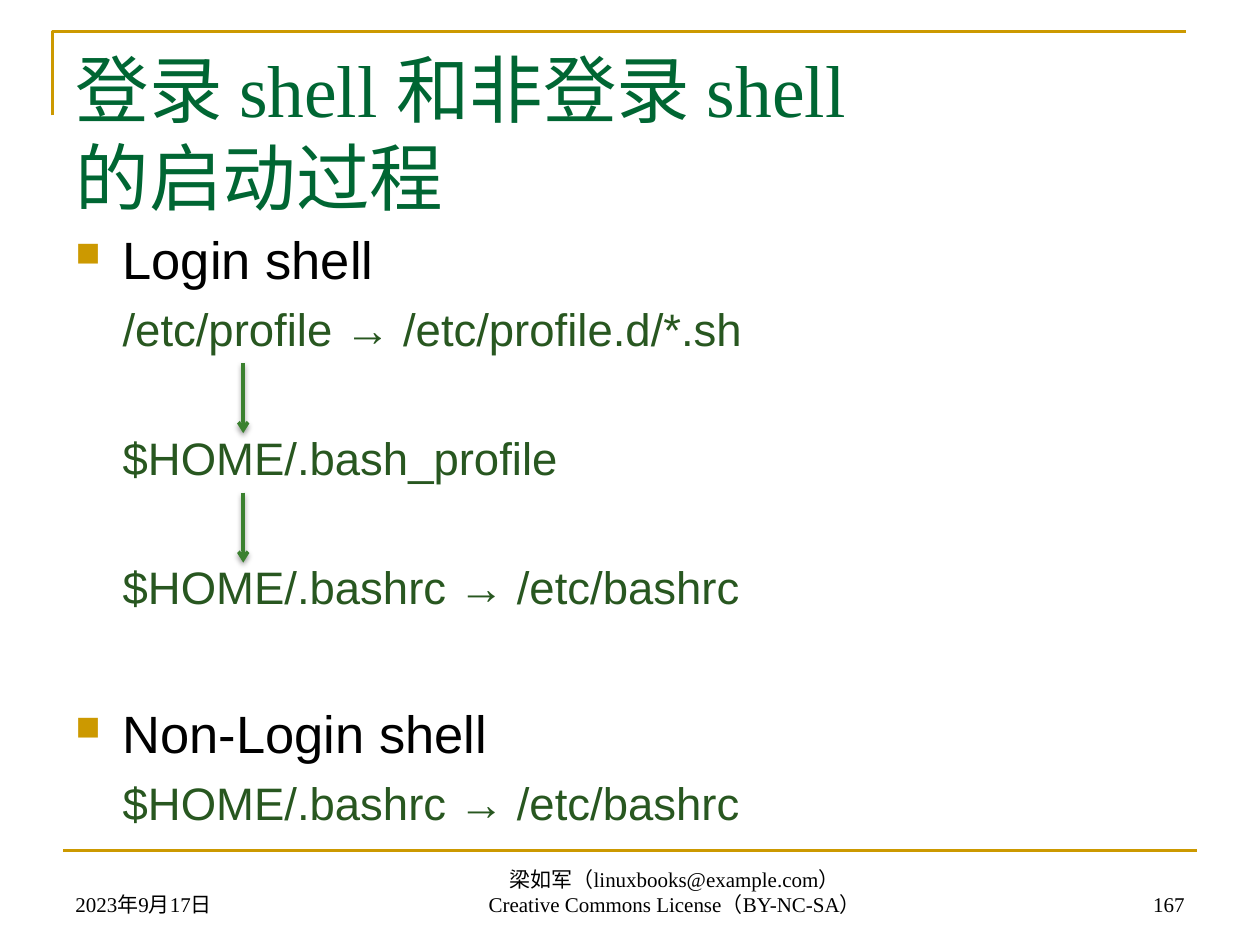
import dataclasses

import lxml.etree
import pptx
import pptx.dml.color
import pptx.enum.shapes
import pptx.enum.text
import pptx.oxml.ns
import pptx.util

Pt = pptx.util.Pt
qn = pptx.oxml.ns.qn
ALIGN = pptx.enum.text.PP_ALIGN
ANCHOR = pptx.enum.text.MSO_ANCHOR

GOLD, GREEN, BLACK = "CC9900", "3B812F", "000000"
SERIF = "Times New Roman"
HEAD = {"size": Pt(30), "name": "Arial", "color": BLACK}
STEP = {"size": Pt(26), "name": "Arial", "color": "285720"}
SMALL = {"size": Pt(12), "name": SERIF, "color": BLACK}
TITLE = {"size": Pt(42), "name": SERIF, "color": "006633"}
TEXT_INDENT = 27


@dataclasses.dataclass
class Row:
    text: str
    font: dict
    before: float = 6.5
    bullet: bool = False


@dataclasses.dataclass
class Footer:
    lines: list[str]
    left: float
    width: float
    align: ALIGN


@dataclasses.dataclass
class Line:
    x1: float
    y1: float
    x2: float
    y2: float
    color: str
    width: float
    arrow: bool = False


def rgb(value: str) -> pptx.dml.color.RGBColor:
    return pptx.dml.color.RGBColor.from_string(value)


def add_xml(parent, tag: str, **attrs):
    return lxml.etree.SubElement(parent, qn(tag), {k: str(v) for k, v in attrs.items()})


def add_run(p, text: str, font: dict) -> None:
    r = p.add_run()
    r.text = text
    for name, value in font.items():
        if name == "color":
            r.font.color.rgb = rgb(value)
        else:
            setattr(r.font, name, value)


def add_box(s, left: float, top: float, width: float, height: float, anchor: ANCHOR):
    tf = s.shapes.add_textbox(Pt(left), Pt(top), Pt(width), Pt(height)).text_frame
    tf.word_wrap = True
    tf.vertical_anchor = anchor
    return tf


def next_paragraph(tf, i: int):
    return tf.add_paragraph() if i else tf.paragraphs[0]


def add_rows(s, rows: list[Row]) -> None:
    tf = add_box(s, 36, 126, 648, 356.4, ANCHOR.TOP)
    for i, row in enumerate(rows):
        p = next_paragraph(tf, i)
        p.space_before = Pt(row.before)
        ppr = p._p.get_or_add_pPr()
        ppr.set("marL", str(Pt(TEXT_INDENT)))
        if row.bullet:
            ppr.set("indent", str(Pt(-TEXT_INDENT)))
            add_xml(add_xml(ppr, "a:buClr"), "a:srgbClr", val=GOLD)
            add_xml(ppr, "a:buSzPct", val=65000)
            add_xml(ppr, "a:buChar", char="■")
        else:
            ppr.set("indent", "0")
            add_xml(ppr, "a:buNone")
        add_run(p, row.text, row.font)


def add_footer(s, footer: Footer) -> None:
    tf = add_box(s, footer.left, 491.5, footer.width, 36, ANCHOR.BOTTOM)
    for i, text in enumerate(footer.lines):
        p = next_paragraph(tf, i)
        p.alignment = footer.align
        add_run(p, text, SMALL)


def add_line(s, line: Line) -> None:
    ends = [Pt(v) for v in (line.x1, line.y1, line.x2, line.y2)]
    sp = s.shapes.add_connector(pptx.enum.shapes.MSO_CONNECTOR.STRAIGHT, *ends)
    sp.line.color.rgb = rgb(line.color)
    sp.line.width = Pt(line.width)
    effects = add_xml(sp._element.spPr, "a:effectLst")
    if line.arrow:
        add_xml(sp.line._get_or_add_ln(), "a:tailEnd", type="arrow")
        shadow = add_xml(effects, "a:outerShdw", blurRad=Pt(3.1), dist=Pt(1.6),
                         dir=5400000, rotWithShape=0)
        add_xml(add_xml(shadow, "a:srgbClr", val=BLACK), "a:alpha", val=38000)


def add_corner(s) -> None:
    builder = s.shapes.build_freeform(Pt(30), Pt(66))
    builder.add_line_segments([(Pt(30), Pt(18)), (Pt(678), Pt(18))], close=False)
    sp = builder.convert_to_shape()
    sp.shadow.inherit = False
    sp.fill.background()
    sp.line.color.rgb = rgb(GOLD)
    sp.line.width = Pt(1.5)


def add_title(s, lines: list[str]) -> None:
    sp = s.shapes.title
    box = {"left": 36, "top": 21.6, "width": 648, "height": 90}
    for name, value in box.items():
        setattr(sp, name, Pt(value))
    tf = sp.text_frame
    tf.word_wrap = True
    tf.auto_size = pptx.enum.text.MSO_AUTO_SIZE.NONE
    tf.vertical_anchor = ANCHOR.TOP
    p = tf.paragraphs[0]
    p.alignment = ALIGN.LEFT
    for i, text in enumerate(lines):
        if i:
            p.add_line_break()
        add_run(p, text, TITLE)


def main() -> None:
    prs = pptx.Presentation()
    prs.slide_width, prs.slide_height = Pt(720), Pt(540)
    s = prs.slides.add_slide(prs.slide_layouts[5])

    # Frame and title
    add_corner(s)
    add_line(s, Line(36, 486, 684, 486, GOLD, 1.5))
    add_title(s, ["登录 shell 和非登录 shell", "的启动过程"])

    # Startup files, with room for an arrow between steps
    add_rows(s, [
        Row("Login shell", HEAD, bullet=True),
        Row("/etc/profile → /etc/profile.d/*.sh", STEP),
        Row("$HOME/.bash_profile", STEP, before=42.5),
        Row("$HOME/.bashrc → /etc/bashrc", STEP, before=42.5),
        Row("Non-Login shell", HEAD, before=50, bullet=True),
        Row("$HOME/.bashrc → /etc/bashrc", STEP),
    ])

    # Footer
    for footer in (
        Footer(["2023年9月17日"], 36, 168, ALIGN.LEFT),
        Footer(["梁如军（linuxbooks@example.com）", "Creative Commons License（BY-NC-SA）"],
               172.8, 425.5, ALIGN.CENTER),
        Footer(["167"], 516, 168, ALIGN.RIGHT),
    ):
        add_footer(s, footer)

    # Arrows between the login steps
    for top in (207.5, 281.5):
        add_line(s, Line(139, top, 139, top + 40, GREEN, 2, arrow=True))

    prs.save("out.pptx")


if __name__ == "__main__":
    main()
